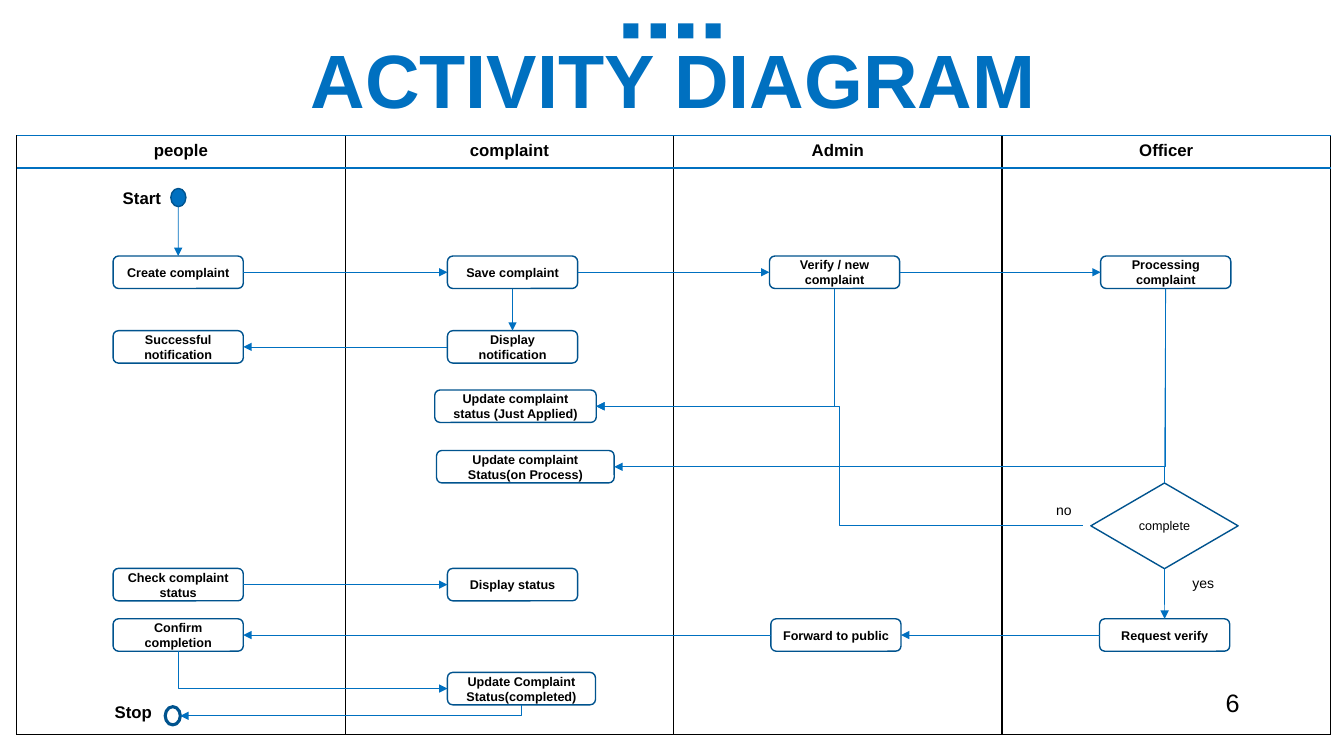
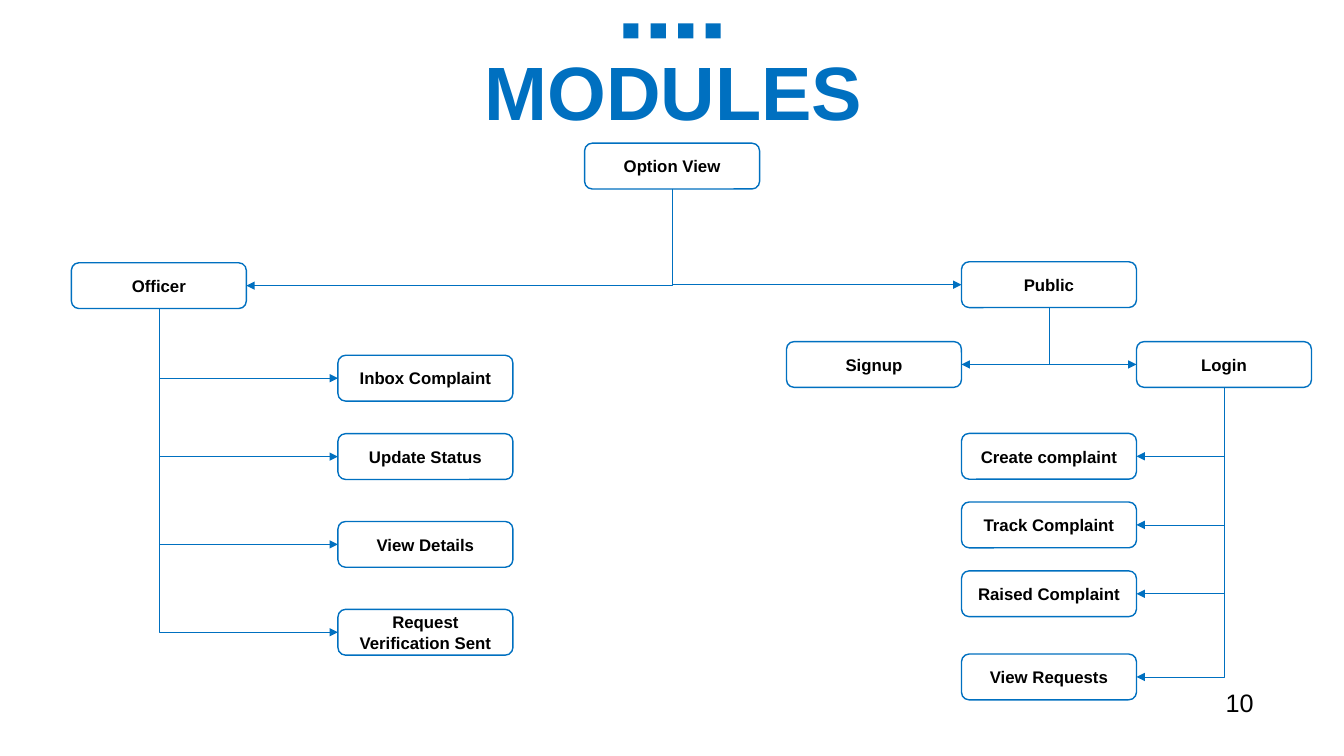
from dataclasses import dataclass

from lxml import etree
from pptx import Presentation
from pptx.dml.color import RGBColor
from pptx.enum.shapes import MSO_CONNECTOR, MSO_SHAPE
from pptx.enum.text import MSO_ANCHOR, PP_ALIGN
from pptx.oxml.ns import qn
from pptx.util import Pt

COLOURS = {"blue": "0070C0", "navy": "00538E", "black": "000000", "white": "FFFFFF"}
FONT = "Arial"
STRAIGHT, ELBOW = MSO_CONNECTOR.STRAIGHT, MSO_CONNECTOR.ELBOW
RECTANGLE, ROUNDED = MSO_SHAPE.RECTANGLE, MSO_SHAPE.ROUNDED_RECTANGLE
DIAMOND, OVAL = MSO_SHAPE.DIAMOND, MSO_SHAPE.OVAL
LEFT_ALIGN, CENTRE = PP_ALIGN.LEFT, PP_ALIGN.CENTER
TOP_ANCHOR, MIDDLE = MSO_ANCHOR.TOP, MSO_ANCHOR.MIDDLE
TOP, LEFT, BOTTOM, RIGHT = range(4)


@dataclass(frozen=True)
class Node:
    text: str
    left: float
    top: float
    width: float = 93
    height: float = 23.2
    kind: int = ROUNDED
    fill: str = "white"
    line: str = "navy"
    line_width: float = 1
    size: float = 9
    bold: bool = True


@dataclass(frozen=True)
class Link:
    source: str
    source_side: int
    target: str
    target_side: int
    arrow: bool = True


@dataclass(frozen=True)
class Label:
    text: str
    left: float
    top: float
    width: float
    height: float
    size: float
    bold: bool = False


def colour(name: str) -> RGBColor:
    return RGBColor.from_string(COLOURS[name])


def write(frame, text: str, size: float, bold: bool, ink: str = "black", align=CENTRE) -> None:
    frame.text = text
    for para in frame.paragraphs:
        para.alignment = align
        for span in para.runs:
            span.font.name = FONT
            span.font.size = Pt(size)
            span.font.bold = bold
            span.font.color.rgb = colour(ink)


def add_label(page, label: Label, ink: str = "black", align=LEFT_ALIGN, anchor=TOP_ANCHOR):
    box = page.shapes.add_textbox(Pt(label.left), Pt(label.top), Pt(label.width), Pt(label.height))
    box.text_frame.word_wrap = True
    box.text_frame.vertical_anchor = anchor
    write(box.text_frame, label.text, label.size, label.bold, ink, align)
    return box


def add_node(page, node: Node):
    shape = page.shapes.add_shape(
        node.kind, Pt(node.left), Pt(node.top), Pt(node.width), Pt(node.height)
    )
    shape.shadow.inherit = False
    shape.fill.solid()
    shape.fill.fore_color.rgb = colour(node.fill)
    shape.line.color.rgb = colour(node.line)
    shape.line.width = Pt(node.line_width)
    if node.text:
        frame = shape.text_frame
        frame.word_wrap = True
        frame.vertical_anchor = MIDDLE
        frame.margin_left = frame.margin_right = Pt(6)
        frame.margin_top = frame.margin_bottom = 0
        write(frame, node.text, node.size, node.bold)
    return shape


def side_point(shape, side: int) -> tuple[int, int]:
    across = {LEFT: 0, RIGHT: shape.width}.get(side, shape.width // 2)
    down = {TOP: 0, BOTTOM: shape.height}.get(side, shape.height // 2)
    return shape.left + across, shape.top + down


def add_line(page, kind, start: tuple[int, int], end: tuple[int, int], arrow: bool = True):
    connector = page.shapes.add_connector(kind, *start, *end)
    connector.line.color.rgb = colour("blue")
    connector.line.width = Pt(0.5)
    if arrow:
        outline = connector.line._get_or_add_ln()
        etree.SubElement(outline, qn("a:tailEnd"), type="triangle")
    etree.SubElement(connector._element.spPr, qn("a:effectLst"))
    return connector


def bend_once(connector, start: tuple[int, int], end: tuple[int, int]) -> None:
    width, height = abs(end[0] - start[0]), abs(end[1] - start[1])
    connector.left = (start[0] + end[0] - height) // 2
    connector.top = (start[1] + end[1] - width) // 2
    connector.width, connector.height = height, width
    properties = connector._element.spPr
    properties.find(qn("a:prstGeom")).set("prst", "bentConnector2")
    frame = properties.find(qn("a:xfrm"))
    frame.attrib.clear()
    if end[0] < start[0]:
        frame.set("rot", str(90 * 60000))
    else:
        frame.set("rot", str(270 * 60000))
        frame.set("flipH", "1")


def add_link(page, shapes: dict, link: Link) -> None:
    source, target = shapes[link.source], shapes[link.target]
    start = side_point(source, link.source_side)
    end = side_point(target, link.target_side)
    bent = link.source_side == BOTTOM and link.target_side in (LEFT, RIGHT)
    connector = add_line(page, ELBOW if bent else STRAIGHT, start, end, link.arrow)
    if source.auto_shape_type != OVAL:
        connector.begin_connect(source, link.source_side)
    if target.auto_shape_type != OVAL:
        connector.end_connect(target, link.target_side)
    if bent:
        bend_once(connector, start, end)


def add_diagram(page, nodes: dict[str, Node], links: list[Link]) -> dict:
    shapes = {key: add_node(page, node) for key, node in nodes.items()}
    for link in links:
        add_link(page, shapes, link)
    return shapes


def add_page(deck, title: str, title_top: float, number: int):
    page = deck.slides.add_slide(deck.slide_layouts[6])
    for index in range(4):
        square = Node("", 445.2 + 19.6 * index, 16.7, 10.8, 10.8, RECTANGLE, "blue")
        add_node(page, square).line.fill.background()
    heading = Label(title, 25.2, title_top, 911.5, 56.9, 54, True)
    box = add_label(page, heading, "blue", CENTRE, MIDDLE)
    box.text_frame.paragraphs[0].line_spacing = 0.9
    add_label(page, Label(str(number), 868.3, 487.4, 75.6, 28.8, 18))
    return page


def add_lanes(page, height: float, names: list[str], borders: dict[str, str]) -> None:
    table = page.shapes.add_table(1, len(names), Pt(12), Pt(97), Pt(938.4), Pt(height)).table
    table.first_row = table.horz_banding = False
    for cell, name in zip(table.rows[0].cells, names):
        cell.fill.background()
        if name:
            write(cell.text_frame, name, 12, True)
        properties = cell._tc.get_or_add_tcPr()
        for index, side in enumerate("LRTB"):
            edge = etree.Element(qn(f"a:ln{side}"), w=str(Pt(1)))
            if side in borders:
                paint = etree.SubElement(edge, qn("a:solidFill"))
                etree.SubElement(paint, qn("a:srgbClr"), val=COLOURS[borders[side]])
            else:
                etree.SubElement(edge, qn("a:noFill"))
            properties.insert(index, edge)


def build_activity(deck) -> None:
    page = add_page(deck, "ACTIVITY DIAGRAM", 31.7, 6)
    lanes = ["people", "complaint", "Admin", "Officer"]
    add_lanes(page, 427.7, [""] * len(lanes), dict.fromkeys("LRTB", "black"))
    add_lanes(page, 23, lanes, dict.fromkeys("TB", "blue"))
    people, complaint, admin, officer = 80.8, 319.6, 549.6, 786.2
    first, second, check, final, done = 182.9, 236.2, 406, 442, 480.3
    nodes = {
        "start": Node("", 122, 134.6, 10.8, 13, OVAL, "blue"),
        "create": Node("Create complaint", people, first),
        "save": Node("Save complaint", complaint, first),
        "verify": Node("Verify / new complaint", admin, first),
        "processing": Node("Processing complaint", officer, first),
        "success": Node("Successful\nnotification", people, second),
        "notify": Node("Display notification", complaint, second),
        "applied": Node("Update complaint status (Just Applied)", 310.5, 278.6, 115.4),
        "ongoing": Node("Update complaint\nStatus(on Process)", 311.8, 321.8, 126.9),
        "complete": Node("complete", 779.2, 345, 105.2, 61.2, DIAMOND, bold=False),
        "check": Node("Check complaint status", people, check),
        "status": Node("Display status", complaint, check),
        "confirm": Node("Confirm completion", people, final),
        "forward": Node("Forward to public", admin + 1, final),
        "request": Node("Request verify", officer - 0.8, final),
        "completed": Node("Update Complaint\nStatus(completed)", complaint, done, 105.8),
        "stop": Node("", 118, 504.8, 10.8, 13, OVAL, line_width=2.25),
    }
    links = [
        Link("start", BOTTOM, "create", TOP),
        Link("create", RIGHT, "save", LEFT),
        Link("save", RIGHT, "verify", LEFT),
        Link("verify", RIGHT, "processing", LEFT),
        Link("save", BOTTOM, "notify", TOP),
        Link("notify", LEFT, "success", RIGHT),
        Link("verify", BOTTOM, "applied", RIGHT),
        Link("processing", BOTTOM, "ongoing", RIGHT),
        Link("processing", BOTTOM, "complete", TOP, arrow=False),
        Link("complete", BOTTOM, "request", TOP),
        Link("check", RIGHT, "status", LEFT),
        Link("request", LEFT, "forward", RIGHT),
        Link("forward", LEFT, "confirm", RIGHT),
        Link("confirm", BOTTOM, "completed", LEFT),
        Link("completed", BOTTOM, "stop", RIGHT),
    ]
    shapes = add_diagram(page, nodes, links)
    applied = shapes["applied"]
    rejected = add_line(page, ELBOW, (Pt(773.3), Pt(375.6)), side_point(applied, RIGHT))
    rejected.end_connect(applied, RIGHT)
    for label in (
        Label("Start", 80.6, 130.3, 82.8, 21.6, 12, True),
        Label("Stop", 74.9, 497.5, 52.6, 21.6, 12, True),
        Label("no", 747.4, 355, 52.6, 19.4, 10),
        Label("yes", 844.6, 406.8, 52.6, 19.4, 10),
    ):
        add_label(page, label)


def build_modules(deck) -> None:
    page = add_page(deck, "MODULES", 40.3, 10)
    officer_tasks, public = 241.4, 686.8
    places = {
        "Option View": (417.6, 102.3),
        "Officer": (51, 187.7),
        "Public": (public, 187),
        "Signup": (public - 125, 244),
        "Login": (public + 125, 244),
        "Inbox Complaint": (officer_tasks, 253.8),
        "Update Status": (officer_tasks, 309.8),
        "View Details": (officer_tasks, 372.5),
        "Request Verification Sent": (officer_tasks, 435.3),
        "Create complaint": (public, 309.6),
        "Track Complaint": (public, 358.6),
        "Raised Complaint": (public, 407.8),
        "View Requests": (public, 467.2),
    }
    nodes = {
        text: Node(text, left, top, 125, 32.7, line="blue", size=12)
        for text, (left, top) in places.items()
    }
    children = {
        "Option View": ["Officer", "Public"],
        "Officer": [text for text, place in places.items() if place[0] == officer_tasks],
        "Public": ["Signup", "Login"],
        "Login": ["Create complaint", "Track Complaint", "Raised Complaint", "View Requests"],
    }
    links = [
        Link(parent, BOTTOM, child, LEFT if nodes[child].left > nodes[parent].left else RIGHT)
        for parent, group in children.items()
        for child in group
    ]
    add_diagram(page, nodes, links)


def main() -> None:
    deck = Presentation()
    deck.slide_width, deck.slide_height = Pt(960), Pt(540)
    build_activity(deck)
    build_modules(deck)
    deck.save("out.pptx")


if __name__ == "__main__":
    main()
